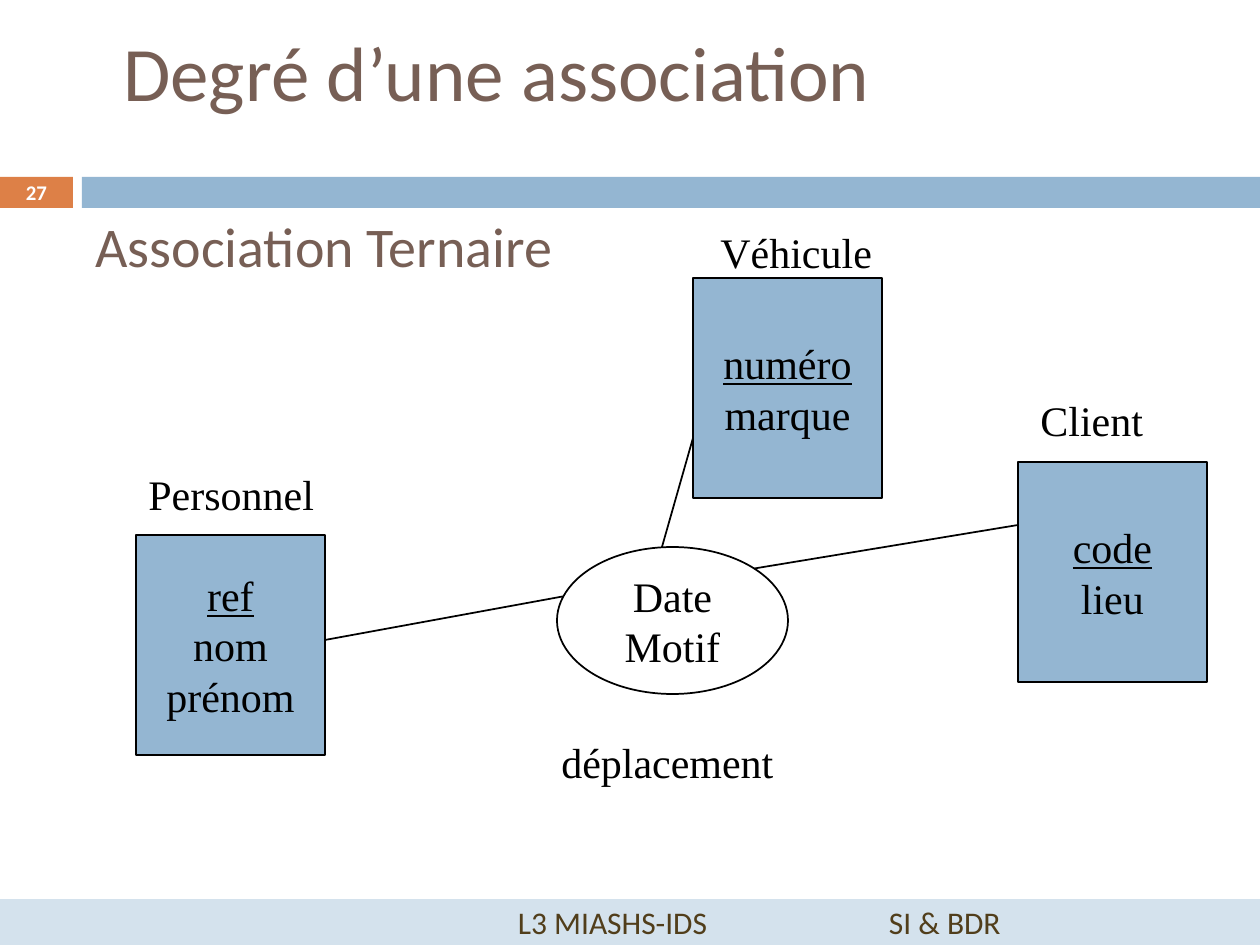
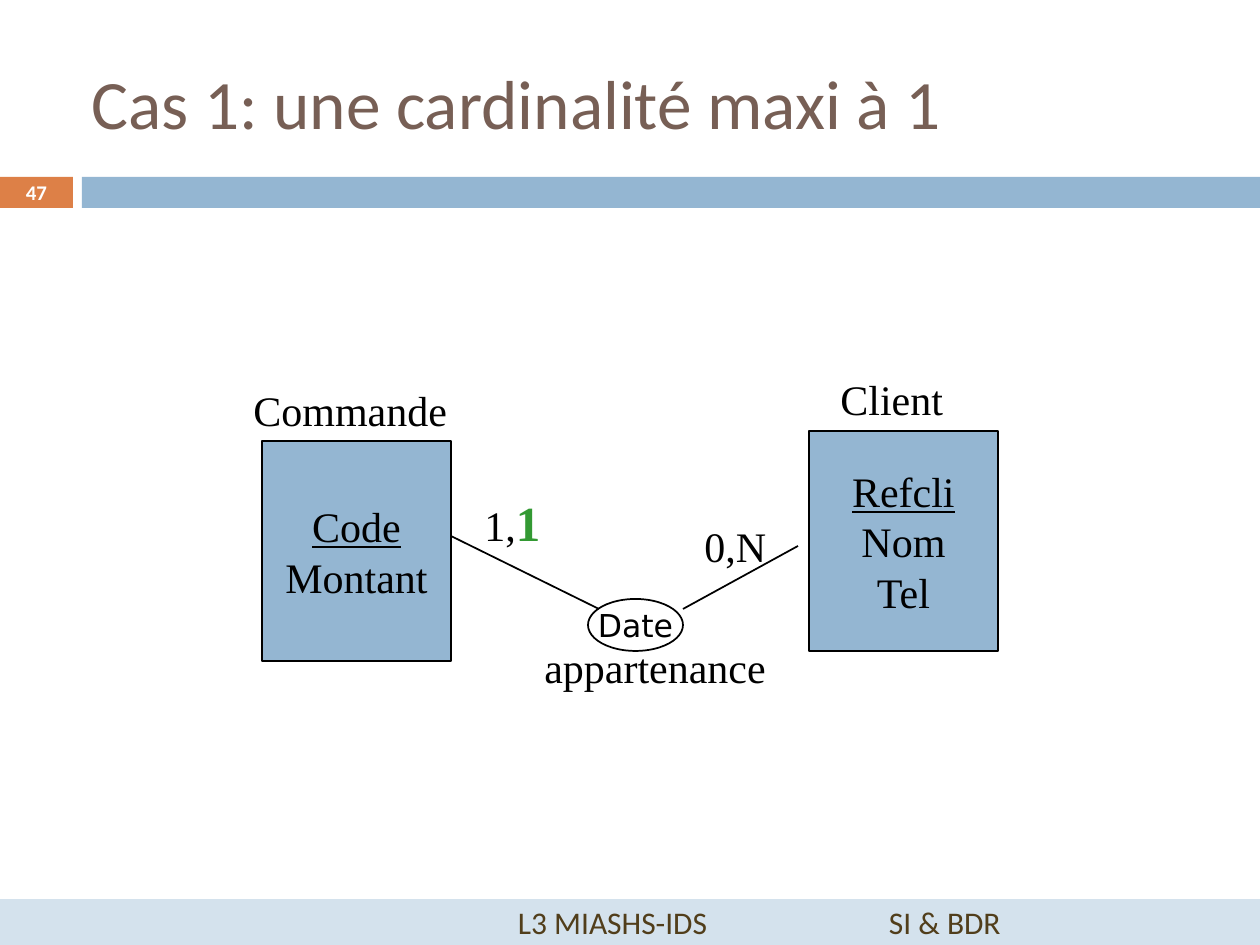
from pptx import Presentation
from pptx.dml.color import RGBColor
from pptx.enum.shapes import MSO_CONNECTOR, MSO_SHAPE
from pptx.enum.text import MSO_ANCHOR, MSO_AUTO_SIZE, PP_ALIGN
from pptx.util import Emu, Pt
from lxml.etree import SubElement
from pptx.oxml.ns import qn

SCALE = 914400 / 126
WIDTH, HEIGHT = 1260, 945

BLACK = RGBColor(0x00, 0x00, 0x00)
WHITE = RGBColor(0xFF, 0xFF, 0xFF)
BLUE = RGBColor(0x94, 0xB6, 0xD2)
PALE = RGBColor(0xD4, 0xE2, 0xED)
ORANGE = RGBColor(0xDD, 0x80, 0x47)
BROWN = RGBColor(0x77, 0x5F, 0x55)
DARK = RGBColor(0x51, 0x3E, 0x1B)
GREEN = RGBColor(0x33, 0x99, 0x33)

SANS, SERIF, DEJAVU = "Calibri", "Times New Roman", "DejaVu Sans"
ENTITY = (189, 220)


def px(value):
    return Emu(round(value * SCALE))


def style(shape, font, size, color, align=PP_ALIGN.LEFT, bold=False):
    for para in shape.text_frame.paragraphs:
        para.alignment = align
        for run in para.runs:
            run.font.name = font
            run.font.size = Pt(size)
            run.font.color.rgb = color
            run.font.bold = bold


def add_block(slide, kind, box, fill, line=None):
    shape = slide.shapes.add_shape(kind, *map(px, box))
    shape.shadow.inherit = False
    if fill is None:
        shape.fill.background()
    else:
        shape.fill.solid()
        shape.fill.fore_color.rgb = fill
    if line is None:
        shape.line.fill.background()
    else:
        shape.line.color.rgb = line
        shape.line.width = Pt(1)
    shape.text_frame.vertical_anchor = MSO_ANCHOR.MIDDLE
    return shape


def add_title(slide, box, text, size):
    title = slide.shapes.add_textbox(*map(px, box))
    frame = title.text_frame
    frame.word_wrap = True
    frame.vertical_anchor = MSO_ANCHOR.MIDDLE
    frame.text = text
    style(title, SANS, size, BROWN)


def add_label(slide, box, text):
    label = slide.shapes.add_textbox(*map(px, box))
    frame = label.text_frame
    frame.word_wrap = False
    frame.auto_size = MSO_AUTO_SIZE.SHAPE_TO_FIT_TEXT
    frame.text = text
    style(label, SERIF, 24, BLACK)
    return label


def add_entity(slide, left, top, fields, name, shift, width):
    """Entity box with its key underlined, and its name above it."""
    shape = add_block(slide, MSO_SHAPE.RECTANGLE, (left, top, *ENTITY), BLUE, BLACK)
    frame = shape.text_frame
    frame.word_wrap = False
    frame.text = "\n".join(fields)
    style(shape, SERIF, 24, BLACK, PP_ALIGN.CENTER)
    frame.paragraphs[0].runs[0].font.underline = True
    dx, dy = shift
    add_label(slide, (left + dx, top + dy, width, 63), name)


def add_oval(slide, box, text, font, size, fill=None):
    oval = add_block(slide, MSO_SHAPE.OVAL, box, fill, BLACK)
    oval.text_frame.word_wrap = False
    oval.text_frame.text = text
    style(oval, font, size, BLACK, PP_ALIGN.CENTER)


def add_link(slide, *ends):
    link = slide.shapes.add_connector(MSO_CONNECTOR.STRAIGHT, *map(px, ends))
    link.line.color.rgb = BLACK
    link.line.width = Pt(1)
    SubElement(link._element.spPr, qn("a:effectLst"))


def add_band(slide, box, number):
    """Number tab and blue band under the title."""
    left, top, width, height = box
    tab, gap = 73, 9
    badge = add_block(slide, MSO_SHAPE.RECTANGLE, (left, top, tab, height), ORANGE)
    frame = badge.text_frame
    frame.margin_left = frame.margin_right = 0
    frame.margin_top = frame.margin_bottom = 0
    frame.text = str(number)
    style(badge, SANS, 11.9, WHITE, PP_ALIGN.CENTER, bold=True)
    start = tab + gap
    add_block(slide, MSO_SHAPE.RECTANGLE,
              (left + start, top, width - start, height), BLUE)


def add_footer(slide, box):
    """Footer band with the course at an indent and the subject at a tab stop."""
    footer = add_block(slide, MSO_SHAPE.RECTANGLE, box, PALE)
    frame = footer.text_frame
    frame.margin_left = px(518)
    frame.text = "L3 MIASHS-IDS\tSI & BDR"
    style(footer, SANS, 18, DARK)
    stops = SubElement(frame.paragraphs[0]._p.get_or_add_pPr(), qn("a:tabLst"))
    SubElement(stops, qn("a:tab"), pos=str(px(371)), algn="l")


def add_page(deck, number):
    slide = deck.slides.add_slide(deck.slide_layouts[6])
    add_band(slide, (0, 177, WIDTH, 31), number)
    add_footer(slide, (0, 899, WIDTH, 46))
    return slide


def draw_degree(deck):
    slide = add_page(deck, 27)
    add_title(slide, (111, 3, 1124, 136), "Degré d’une association", 44)
    add_title(slide, (83, 192, 617, 106), "Association Ternaire", 32)

    # Entities
    add_entity(slide, 136, 535, ("ref", "nom", "prénom"), "Personnel", (0, -73), 194)
    add_entity(slide, 1018, 462, ("code", "lieu"), "Client", (10, -74), 131)
    add_entity(slide, 693, 278, ("numéro", "marque"), "Véhicule", (15, -58), 180)

    # Links run under the association
    add_link(slide, 325, 640, 609, 588)
    add_link(slide, 703, 577, 1018, 525)
    add_link(slide, 658, 561, 693, 438)
    add_oval(slide, (557, 547, 231, 147), "Date\nMotif", SERIF, 24, WHITE)
    add_label(slide, (549, 730, 240, 63), "déplacement")


def draw_case(deck):
    slide = add_page(deck, 47)
    add_title(slide, (79, 65, 1137, 73), "Cas 1: une cardinalité maxi à 1", 39.6)

    # Entities
    add_entity(slide, 262, 441, ("Code", "Montant"), "Commande", (-21, -63), 221)
    add_entity(slide, 809, 431, ("Refcli", "Nom", "Tel"), "Client", (19, -64), 131)

    # Association
    add_oval(slide, (588, 599, 95, 52), "Date", DEJAVU, 18)
    add_link(slide, 451, 536, 599, 609)
    add_link(slide, 683, 609, 798, 546)
    add_label(slide, (532, 635, 249, 63), "appartenance")

    # Cardinalities
    card = add_label(slide, (472, 486, 84, 72), "1,")
    maxi = card.text_frame.paragraphs[0].add_run()
    maxi.text = "1"
    maxi.font.name = SERIF
    maxi.font.size = Pt(28)
    maxi.font.bold = True
    maxi.font.color.rgb = GREEN
    add_label(slide, (692, 514, 89, 63), "0,N")


def main():
    deck = Presentation()
    deck.slide_width, deck.slide_height = px(WIDTH), px(HEIGHT)
    draw_degree(deck)
    draw_case(deck)
    deck.save("out.pptx")


if __name__ == "__main__":
    main()
